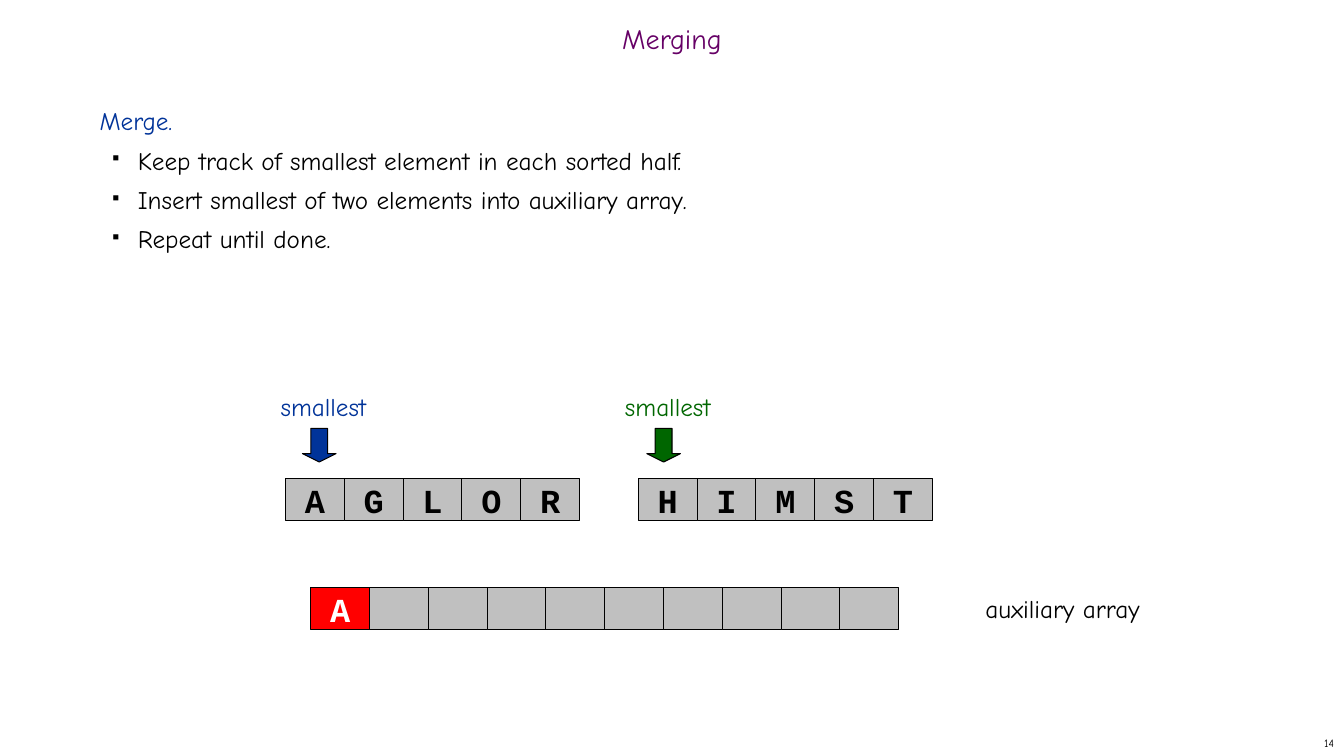
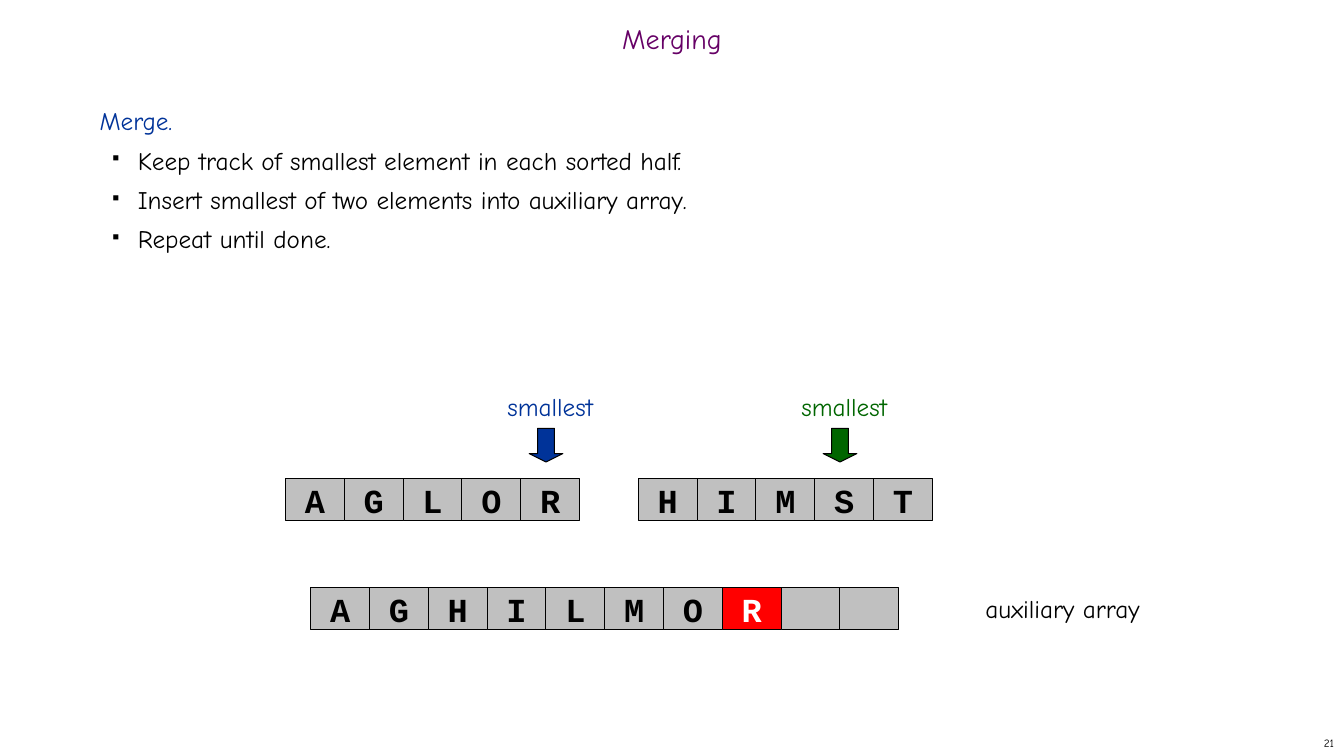
from dataclasses import dataclass
from typing import Any

from lxml import etree
from pptx import Presentation
from pptx.dml.color import RGBColor
from pptx.enum.shapes import MSO_SHAPE
from pptx.enum.text import MSO_ANCHOR, PP_ALIGN
from pptx.oxml.ns import qn
from pptx.shapes.autoshape import Shape
from pptx.slide import Slide
from pptx.text.text import TextFrame, _Paragraph
from pptx.util import Inches, Length, Pt

RECTANGLE = MSO_SHAPE.RECTANGLE
DOWN_ARROW = MSO_SHAPE.DOWN_ARROW
TOP, MIDDLE = MSO_ANCHOR.TOP, MSO_ANCHOR.MIDDLE
LEFT, CENTER, RIGHT = PP_ALIGN.LEFT, PP_ALIGN.CENTER, PP_ALIGN.RIGHT

WIDTH, HEIGHT = Inches(13.333), Inches(7.5)
COLUMNS, ROWS = 160, 90
CELL_COLUMNS, CELL_ROWS = 7, 5


@dataclass(frozen=True)
class Theme:
    purple: str = "660066"
    blue: str = "003399"
    green: str = "006600"
    red: str = "FF0000"
    gray: str = "C0C0C0"
    black: str = "000000"
    arrow_outline: str = "010000"
    white: str = "FFFFFF"
    text_font: str = "Comic Neue"
    cell_font: str = "Courier New"
    title_size: float = 20
    text_size: float = 18
    cell_size: float = 24
    number_size: float = 8
    outline: float = 0.75


THEME = Theme()


@dataclass(frozen=True)
class Area:
    column: float
    row: float
    columns: float
    rows: float

    def lengths(self) -> tuple[Length, ...]:
        return (
            Length(round(WIDTH * self.column / COLUMNS)),
            Length(round(HEIGHT * self.row / ROWS)),
            Length(round(WIDTH * self.columns / COLUMNS)),
            Length(round(HEIGHT * self.rows / ROWS)),
        )


@dataclass(frozen=True)
class Style:
    color: str
    size: float = THEME.text_size
    font: str = THEME.text_font
    bold: bool = False


@dataclass(frozen=True)
class SortedHalf:
    letters: str
    column: int
    color: str


@dataclass(frozen=True)
class MergeStep:
    number: str
    merged: str
    arrow_columns: tuple[int, int]


HALVES = (
    SortedHalf("AGLOR", 34, THEME.blue),
    SortedHalf("HIMST", 76, THEME.green),
)
STEPS = (
    MergeStep("14", "A", (36, 77)),
    MergeStep("21", "AGHILMOR", (63, 98)),
)
RULES = (
    "Keep track of smallest element in each sorted half.",
    "Insert smallest of two elements into auxiliary array.",
    "Repeat until done.",
)

HALF_ROW, AUXILIARY_ROW = 57, 70
AUXILIARY_COLUMN = 37
ARROW_ROW, ARROW_SPAN = 51, 4
LABEL_ROW, LABEL_ROWS, LABEL_COLUMNS, LABEL_LEAD = 46, 4.8, 25, 10
TITLE_AREA = Area(0, 2, COLUMNS, 6)
BODY_AREA = Area(10.67, 12, 137.33, 71)
CAPTION_AREA = Area(115, AUXILIARY_ROW, 23, LABEL_ROWS)
NUMBER_AREA = Area(126.67, 87, 33.33, 3)

TITLE_STYLE = Style(THEME.purple, THEME.title_size)
NUMBER_STYLE = Style(THEME.black, THEME.number_size)
BODY_FORMAT = {"space_before": Pt(4.2)}
RULE_FORMAT = BODY_FORMAT | {"line_spacing": 1.1, "level": 1}


def assign(target: Any, values: dict[str, Any]) -> None:
    for attribute, value in values.items():
        setattr(target, attribute, value)


def write(paragraph: _Paragraph, words: str, style: Style, **layout: Any) -> None:
    assign(paragraph, layout)
    run = paragraph.add_run()
    run.text = words
    assign(run.font, {"name": style.font, "size": Pt(style.size), "bold": style.bold})
    run.font.color.rgb = RGBColor.from_string(style.color)


def add_frame(slide: Slide, area: Area, anchor: MSO_ANCHOR = TOP) -> TextFrame:
    frame = slide.shapes.add_textbox(*area.lengths()).text_frame
    assign(frame, {"word_wrap": True, "vertical_anchor": anchor})
    return frame


def add_line(slide: Slide, area: Area, words: str, style: Style,
             anchor: MSO_ANCHOR = TOP, **layout: Any) -> None:
    frame = add_frame(slide, area, anchor)
    write(frame.paragraphs[0], words, style, **({"alignment": CENTER} | layout))


def add_bullet(paragraph: _Paragraph) -> None:
    properties = paragraph._p.get_or_add_pPr()
    properties.set("marL", str(Inches(0.38)))
    properties.set("indent", str(Inches(-0.25)))
    color = etree.SubElement(properties, qn("a:buClr"))
    etree.SubElement(color, qn("a:srgbClr"), val=THEME.black)
    etree.SubElement(properties, qn("a:buSzPct"), val="35000")
    etree.SubElement(properties, qn("a:buChar"), char="■")


def add_body(slide: Slide) -> None:
    frame = add_frame(slide, BODY_AREA)
    write(frame.paragraphs[0], "Merge.", Style(THEME.blue),
          alignment=LEFT, **BODY_FORMAT)
    for rule in RULES:
        paragraph = frame.add_paragraph()
        write(paragraph, rule, Style(THEME.black), alignment=LEFT, **RULE_FORMAT)
        add_bullet(paragraph)


def add_block(slide: Slide, kind: MSO_SHAPE, area: Area, fill: str,
              outline: str = THEME.black) -> Shape:
    block = slide.shapes.add_shape(kind, *area.lengths())
    block.shadow.inherit = False
    block.fill.solid()
    block.fill.fore_color.rgb = RGBColor.from_string(fill)
    block.line.color.rgb = RGBColor.from_string(outline)
    block.line.width = Pt(THEME.outline)
    return block


def add_array(slide: Slide, letters: str, column: int, row: int, length: int,
              newest: int | None = None) -> None:
    for index in range(length):
        is_newest = index == newest
        area = Area(column + index * CELL_COLUMNS, row, CELL_COLUMNS, CELL_ROWS)
        cell = add_block(slide, RECTANGLE, area, THEME.red if is_newest else THEME.gray)
        if index < len(letters):
            frame = cell.text_frame
            assign(frame, {"word_wrap": False, "vertical_anchor": MIDDLE})
            ink = THEME.white if is_newest else THEME.black
            style = Style(ink, THEME.cell_size, THEME.cell_font, True)
            write(frame.paragraphs[0], letters[index], style, alignment=CENTER)


def add_marker(slide: Slide, column: int, color: str) -> None:
    label_area = Area(column - LABEL_LEAD, LABEL_ROW, LABEL_COLUMNS, LABEL_ROWS)
    add_line(slide, label_area, "smallest", Style(color))
    arrow_area = Area(column, ARROW_ROW, ARROW_SPAN, ARROW_SPAN)
    arrow = add_block(slide, DOWN_ARROW, arrow_area, color, THEME.arrow_outline)
    arrow.adjustments[0] = 0.5
    arrow.adjustments[1] = 0.25


def add_common(slide: Slide, number: str) -> None:
    add_line(slide, NUMBER_AREA, number, NUMBER_STYLE, MIDDLE, alignment=RIGHT)
    add_line(slide, TITLE_AREA, "Merging", TITLE_STYLE, MIDDLE, line_spacing=0.7)
    add_body(slide)
    add_line(slide, CAPTION_AREA, "auxiliary array", Style(THEME.black))


def add_step(slide: Slide, step: MergeStep) -> None:
    add_common(slide, step.number)
    for half, arrow_column in zip(HALVES, step.arrow_columns):
        add_marker(slide, arrow_column, half.color)
        add_array(slide, half.letters, half.column, HALF_ROW, len(half.letters))
    total = sum(len(half.letters) for half in HALVES)
    add_array(slide, step.merged, AUXILIARY_COLUMN, AUXILIARY_ROW, total,
              len(step.merged) - 1)


def main() -> None:
    deck = Presentation()
    assign(deck, {"slide_width": WIDTH, "slide_height": HEIGHT})
    blank = deck.slide_layouts[6]
    for step in STEPS:
        add_step(deck.slides.add_slide(blank), step)
    deck.save("out.pptx")


main()
